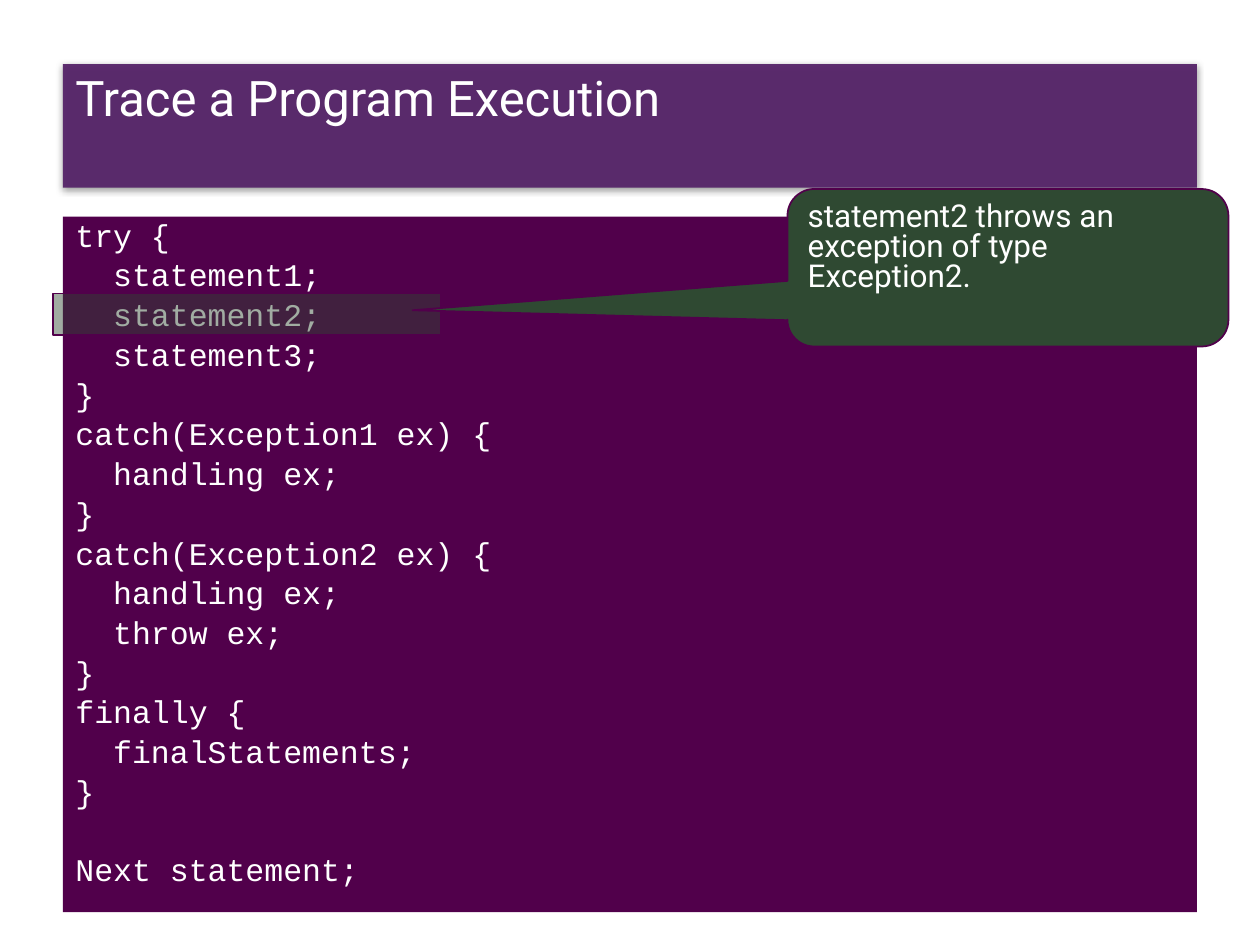
from pptx import Presentation as Deck
from pptx.dml.color import RGBColor as Rgb
from pptx.enum.shapes import MSO_SHAPE as Kind
from pptx.enum.text import MSO_ANCHOR as Anchor, PP_ALIGN as Align
from pptx.oxml import parse_xml
from pptx.oxml.ns import nsdecls
from pptx.util import Inches, Pt
from lxml.etree import SubElement as Sub

CELL = 0.25  # grid of 40 columns by 30 rows, in inches
PURPLE, PLUM, GREEN, WHITE = "562469", "51004B", "2F4932", "FFFFFF"
CODE = """try {
  statement1;
  statement2;
  statement3;
}
catch(Exception1 ex) {
  handling ex;
}
catch(Exception2 ex) {
  handling ex;
  throw ex;
}
finally {
  finalStatements;
}

Next statement;"""


def hue(code):
    return Rgb.from_string(code)


class Page:
    """Holds the style and the current slide."""
    heads = dict(name="Roboto", size=Pt(28))
    notes = dict(name="Roboto", size=Pt(18))
    codes = dict(name="Courier New", size=Pt(18))
    pitch = 21.8  # points from one code line to the next

    def __init__(self, deck):
        self.slide = deck.slides.add_slide(deck.slide_layouts[6])

    def box(self, kind, col, row, wide, high, fill, line=None, alpha=None):
        spot = [Inches(n * CELL) for n in (col, row, wide, high)]
        shape = self.slide.shapes.add_shape(kind, *spot)
        shape.shadow.inherit = False
        shape.fill.solid()
        shape.fill.fore_color.rgb = hue(fill)
        if alpha:
            tint = shape._element.spPr.find("{*}solidFill")[0]
            Sub(tint, tint.tag.replace("srgbClr", "alpha"), val=str(alpha * 1000))
        if line:
            shape.line.color.rgb = hue(line)
            shape.line.width = Pt(1)
        else:
            shape.line.fill.background()
        return shape

    def frame(self, shape, **pads):
        frame = shape.text_frame
        look = dict(word_wrap=True, vertical_anchor=Anchor.TOP) | pads
        for key, val in look.items():
            setattr(frame, key, val)
        return frame

    def text(self, para, words, font, **form):
        for key, val in (dict(alignment=Align.LEFT) | form).items():
            setattr(para, key, val)
        run = para.add_run()
        run.text = words
        for key, val in font.items():
            setattr(run.font, key, val)
        run.font.color.rgb = hue(WHITE)

    def title(self, words, *spot):
        shape = self.box(Kind.RECTANGLE, *spot, PURPLE, alpha=95)
        props = shape._element.spPr
        props.replace(props.find("{*}effectLst"), parse_xml(
            f'<a:effectLst {nsdecls("a")}><a:outerShdw blurRad="50800" dist="12700" '
            'dir="5400000" rotWithShape="0"><a:srgbClr val="000000">'
            '<a:alpha val="40000"/></a:srgbClr></a:outerShdw></a:effectLst>'))
        frame = self.frame(shape, margin_top=0)
        self.text(frame.paragraphs[0], words, self.heads, line_spacing=1.05)

    def code(self, words, *spot):
        frame = self.frame(self.box(Kind.RECTANGLE, *spot, PLUM))
        para, gap = frame.paragraphs[0], 5.4
        for line in words.splitlines():
            if not line:  # an empty line becomes space before the next one
                gap += self.pitch
                continue
            if para.runs:
                para = frame.add_paragraph()
            self.text(para, line.strip(), self.codes,
                      line_spacing=0.8, space_before=Pt(gap))
            # each leading space is one 0.15 inch letter
            depth = len(line) - len(line.lstrip())
            para._p.get_or_add_pPr().set("marL", str(Inches(0.15 * depth)))
            gap = 5.4

    def mark(self, *spot):
        self.box(Kind.RECTANGLE, *spot, GREEN, PLUM, 45)

    def callout(self, words, tip, *spot):
        shape = self.box(Kind.ROUNDED_RECTANGULAR_CALLOUT, *spot, GREEN, PLUM)
        for num, val in enumerate(tip):
            shape.adjustments[num] = val
        self.text(self.frame(shape).paragraphs[0], words, self.notes,
                  line_spacing=0.8, space_before=Pt(4.3))


def main():
    deck = Deck()
    deck.slide_width, deck.slide_height = Inches(40 * CELL), Inches(30 * CELL)
    page = Page(deck)
    # Heading and code panel
    page.title("Trace a Program Execution", 2, 2.04, 36, 3.92)
    page.code(CODE, 2, 6.88, 36, 22.08)
    # Current line and its remark
    page.mark(1.68, 9.32, 12.32, 1.32)
    page.callout("statement2 throws an exception of type Exception2.",
                 (-1.35, 0.27, 0.17), 25, 6, 14, 5)
    deck.save("out.pptx")


if __name__ == "__main__":
    main()
